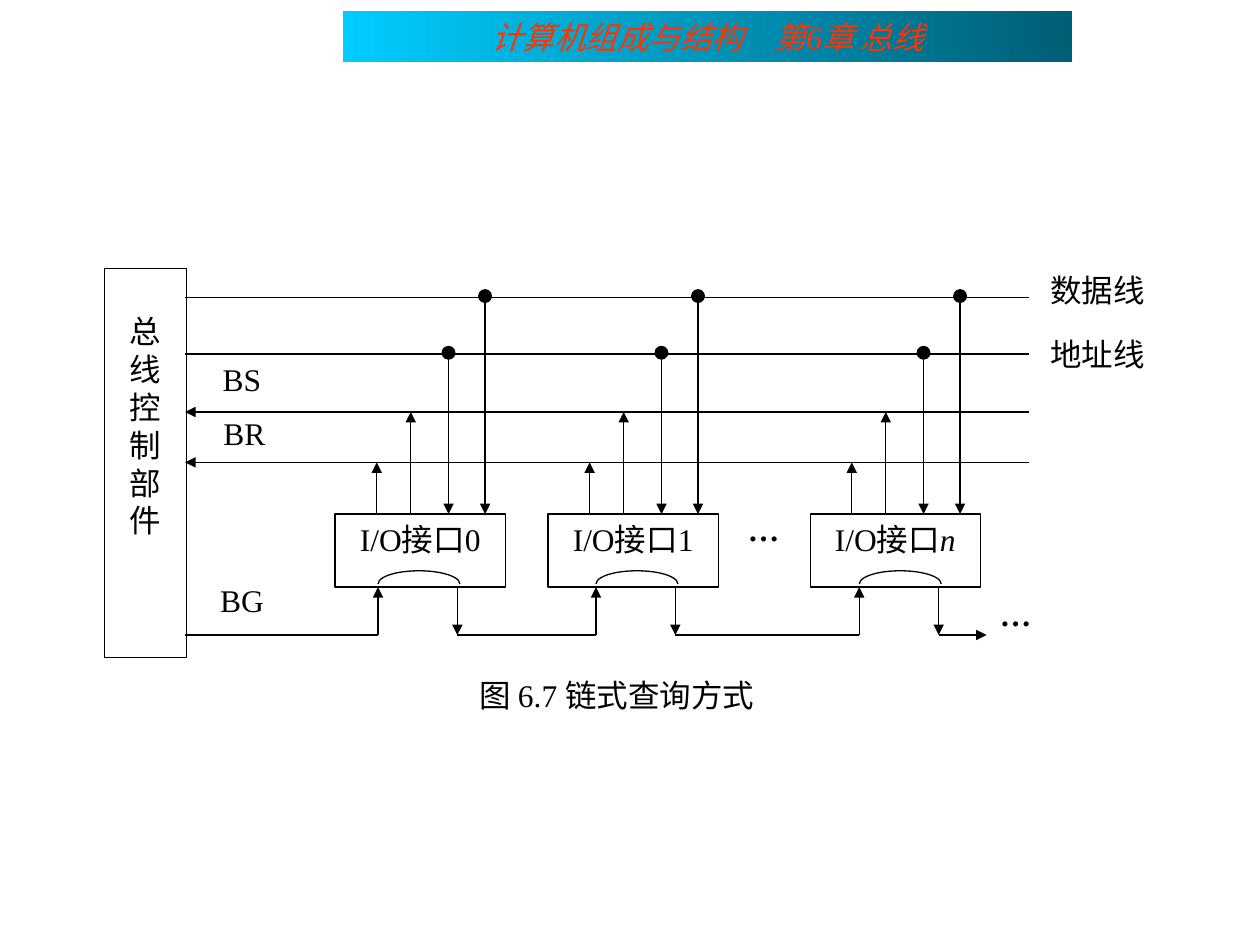
from dataclasses import dataclass

from lxml import etree
from pptx import Presentation
from pptx.dml.color import RGBColor
from pptx.enum.shapes import MSO_CONNECTOR, MSO_SHAPE
from pptx.enum.text import MSO_ANCHOR, MSO_AUTO_SIZE, PP_ALIGN
from pptx.oxml.ns import qn
from pptx.util import Emu, Inches, Pt

RECT, OVAL, ARC = MSO_SHAPE.RECTANGLE, MSO_SHAPE.OVAL, MSO_SHAPE.ARC
STRAIGHT = MSO_CONNECTOR.STRAIGHT
TOP, MIDDLE = MSO_ANCHOR.TOP, MSO_ANCHOR.MIDDLE
CENTER = PP_ALIGN.CENTER


@dataclass(frozen=True)
class Theme:
    ink: RGBColor = RGBColor(0, 0, 0)
    paper: RGBColor = RGBColor(0xFF, 0xFF, 0xFF)
    head: RGBColor = RGBColor(0xFF, 0x33, 0x00)
    deep: RGBColor = RGBColor(0x00, 0x5E, 0x75)
    bright: RGBColor = RGBColor(0x00, 0xCC, 0xFF)
    font: str = "Times New Roman"
    size: Pt = Pt(18)
    rule: Pt = Pt(0.75)


@dataclass(frozen=True)
class Run:
    text: str
    bold: bool = False
    italic: bool = False


@dataclass(frozen=True)
class Box:
    x: float
    y: float
    w: float
    h: float


@dataclass(frozen=True)
class Unit:
    """An I/O interface: left edge, column where the grant enters, name."""
    x: float
    grant: float
    runs: tuple[Run, ...]


@dataclass(frozen=True)
class Label:
    x: float
    y: float
    run: Run


THEME = Theme()

# The slide is a grid of 100 columns by 75 rows.
COLS, ROWS = 100, 75
CELL = Inches(0.1)

DATA, ADDR, BS, BR, BG = 23.6, 28.1, 32.7, 36.7, 50.4
LEFT, RIGHT = 14.7, 81.7
UNIT_Y, UNIT_W, UNIT_H = 40.8, 13.5, 5.8
BASE = UNIT_Y + UNIT_H
SPAN = 6.3
DOT = 1.0

HEAD = Box(27.2, 0.9, 57.9, 4)
CONTROL = Box(8.3, 21.3, 6.5, 30.9)
CAPTION = Box(32, 53.2, 33.9, 6.3)

UNITS = (
    Unit(26.6, 30, (Run("I/O接口"), Run("0"))),
    Unit(43.5, 47.3, (Run("I/O接口"), Run("1"))),
    Unit(64.3, 68.2, (Run("I/O接口"), Run("n", italic=True))),
)

LABELS = (
    Label(81.7, 21, Run("数据线")),
    Label(81.7, 26.1, Run("地址线")),
    Label(13.8, 28.1, Run("BS")),
    Label(14, 32.4, Run("BR")),
    Label(13.8, 45.6, Run("BG")),
    Label(55.2, 40, Run("…", bold=True)),
    Label(75.2, 46.7, Run("…", bold=True)),
)


def cells(*counts: float) -> list[Emu]:
    return [Emu(round(count * CELL)) for count in counts]


def place(box: Box) -> list[Emu]:
    return cells(box.x, box.y, box.w, box.h)


def write(shape, runs, color=THEME.ink, anchor=TOP, top: float = 0.5) -> None:
    frame = shape.text_frame
    frame.word_wrap = True
    frame.auto_size = MSO_AUTO_SIZE.NONE
    frame.vertical_anchor = anchor
    frame.margin_left, frame.margin_right = cells(1, 1)
    frame.margin_top, frame.margin_bottom = cells(top, 0.5)
    para = frame.paragraphs[0]
    para.alignment = CENTER
    for item in runs:
        run = para.add_run()
        run.text = item.text
        font = run.font
        font.name, font.size = THEME.font, THEME.size
        font.bold, font.italic = item.bold, item.italic
        font.color.rgb = color


def draw(slide, kind, box: Box, fill=None, line=THEME.ink):
    shape = slide.shapes.add_shape(kind, *place(box))
    shape.shadow.inherit = False
    if fill is None:
        shape.fill.background()
    else:
        shape.fill.solid()
        shape.fill.fore_color.rgb = fill
    shape.line.color.rgb = line
    shape.line.width = THEME.rule
    return shape


def wire(slide, x1: float, y1: float, x2: float, y2: float,
         arrow: bool = True) -> None:
    link = slide.shapes.add_connector(STRAIGHT, *cells(x1, y1, x2, y2))
    link.line.color.rgb = THEME.ink
    link.line.width = THEME.rule
    props = link.element.spPr
    if arrow:
        etree.SubElement(props.find(qn("a:ln")), qn("a:tailEnd"),
                         type="triangle")
    etree.SubElement(props, qn("a:effectLst"))


def add_head(slide) -> None:
    title = slide.shapes.title
    title.left, title.top, title.width, title.height = place(HEAD)
    title.fill.gradient()
    title.fill.gradient_angle = 180
    for stop, color in zip(title.fill.gradient_stops,
                           (THEME.deep, THEME.bright)):
        stop.color.rgb = color
    write(title, [Run("计算机组成与结构　第6章 总线", italic=True)],
          THEME.head, MIDDLE)


def add_bus(slide) -> None:
    control = draw(slide, RECT, CONTROL, THEME.paper)
    write(control, [Run("总线控制部件")], top=3.5)
    for y in (DATA, ADDR):
        wire(slide, LEFT, y, RIGHT, y, arrow=False)
    for y in (BS, BR):
        wire(slide, RIGHT, y, LEFT, y)


def add_unit(slide, unit: Unit) -> None:
    box = Box(unit.x, UNIT_Y, UNIT_W, UNIT_H)
    write(draw(slide, RECT, box, THEME.paper), unit.runs)
    for step, y in ((3.3, BR), (6, BS)):
        wire(slide, unit.x + step, UNIT_Y, unit.x + step, y)
    for step, y in ((9, ADDR), (11.9, DATA)):
        x = unit.x + step
        wire(slide, x, y, x, UNIT_Y)
        draw(slide, OVAL, Box(x - DOT / 2, y - 0.1 - DOT / 2, DOT, DOT),
             THEME.ink)
    arc = draw(slide, ARC, Box(unit.grant, BASE - 1.3, 6.5, 2.1))
    arc.adjustments[0], arc.adjustments[1] = 108, 0  # upper half


def add_chain(slide) -> None:
    """Pass the bus grant from the controller through every unit."""
    start = LEFT
    for unit in UNITS:
        wire(slide, start, BG, unit.grant, BG, arrow=False)
        wire(slide, unit.grant, BG, unit.grant, BASE)
        start = unit.grant + SPAN
        wire(slide, start, BASE, start, BG)
    wire(slide, start, BG, start + 3.8, BG)


def main() -> None:
    deck = Presentation()
    deck.slide_width, deck.slide_height = cells(COLS, ROWS)
    slide = deck.slides.add_slide(deck.slide_layouts[5])
    add_head(slide)
    caption = draw(slide, RECT, CAPTION, THEME.paper, THEME.paper)
    write(caption, [Run("图 6.7 链式查询方式")])
    add_bus(slide)
    for unit in UNITS:
        add_unit(slide, unit)
    add_chain(slide)
    for label in LABELS:
        text = slide.shapes.add_textbox(*cells(label.x, label.y, 10.8, 5.8))
        write(text, [label.run])
    deck.save("out.pptx")


if __name__ == "__main__":
    main()
